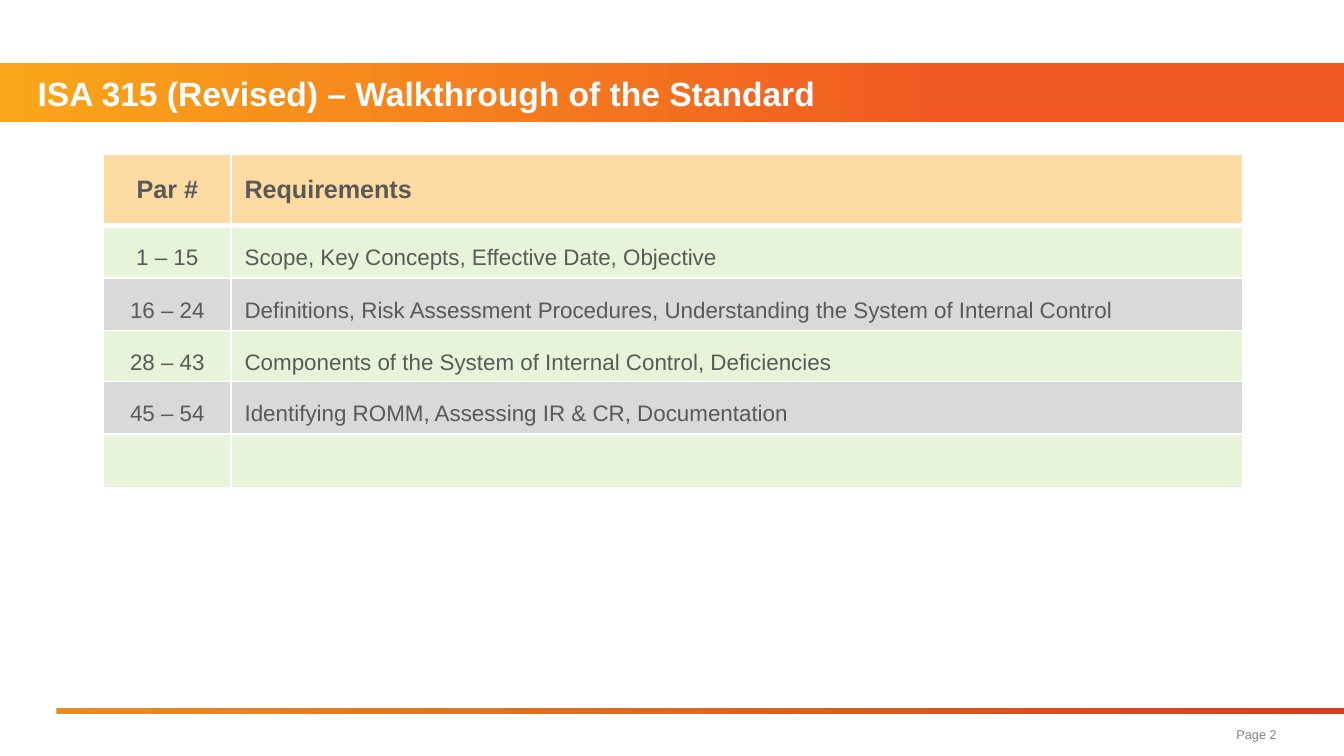
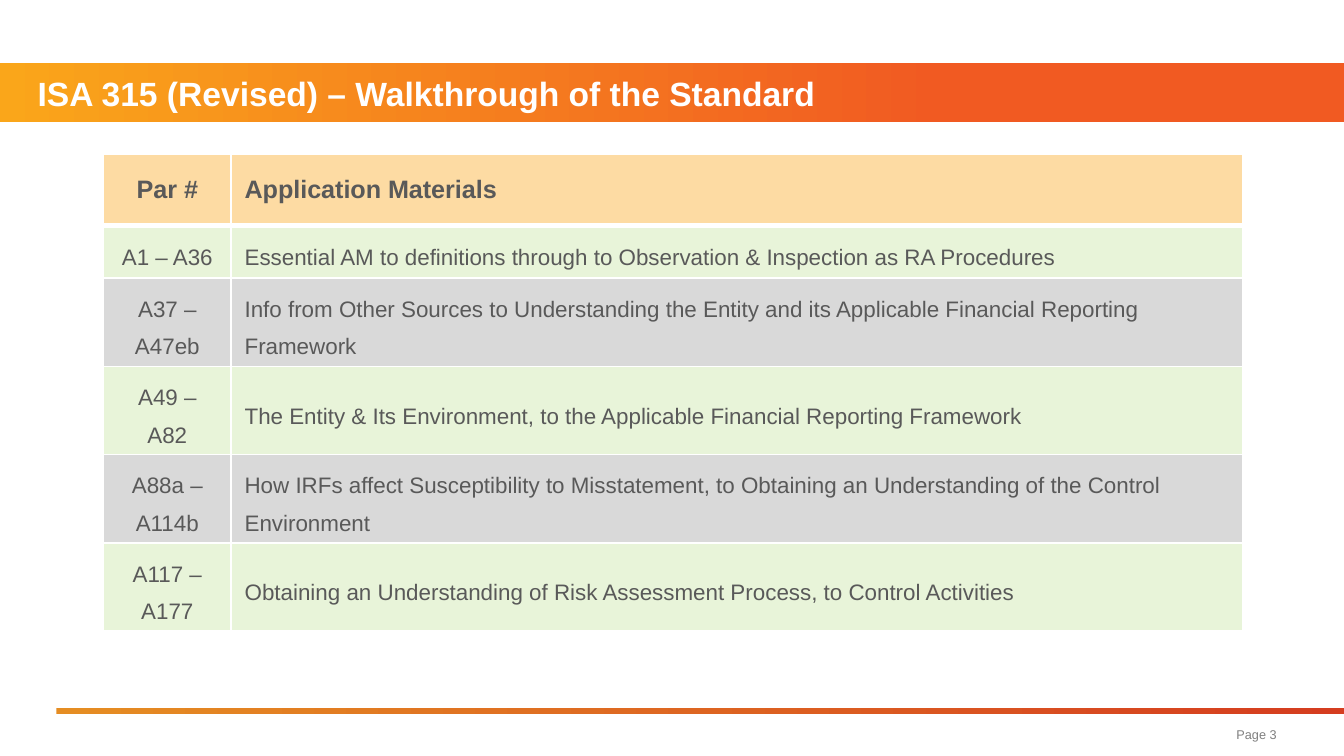
from lxml import etree
from pptx import Presentation
from pptx.dml.color import RGBColor
from pptx.enum.shapes import MSO_SHAPE
from pptx.enum.text import MSO_ANCHOR, PP_ALIGN
from pptx.oxml.ns import qn
from pptx.util import Inches, Pt

RECT = MSO_SHAPE.RECTANGLE
MIDDLE = MSO_ANCHOR.MIDDLE
LEFT, CENTER, RIGHT = PP_ALIGN.LEFT, PP_ALIGN.CENTER, PP_ALIGN.RIGHT

HUES = {
    "white": "FFFFFF", "text": "595959", "page": "808080",
    "gold": "FAA61A", "orange": "F15A22",
    "amber": "E58D23", "red": "D53D20",
    "head": "FDDBA3", "green": "E8F4D9", "gray": "D9D9D9",
}
TITLE = "ISA 315 (Revised) – Walkthrough of the Standard"
BAND = [Inches(n) for n in (0, 0.47, 10, 0.44)]
RULE = [Inches(n) for n in (0.42, 5.27, 9.58, 0.04)]
PAGE = [Inches(n) for n in (7.79, 5.34, 1.71, 0.25)]
BARS = [(BAND, "gold", "orange", 0.7), (RULE, "amber", "red", 1)]
COLS = [0.95, 7.53]
TOP, ONE, TWO = 0.53, 0.39, 0.65

SLIDES = [
    ([TOP, ONE, ONE, 0.38, ONE, ONE], [
        ("Par #", "Requirements"),
        ("1 – 15", "Scope, Key Concepts, Effective Date, Objective"),
        ("16 – 24", "Definitions, Risk Assessment Procedures, Understanding the System of Internal Control"),
        ("28 – 43", "Components of the System of Internal Control, Deficiencies"),
        ("45 – 54", "Identifying ROMM, Assessing IR & CR, Documentation"),
        ("", ""),
    ]),
    ([TOP, ONE, TWO, TWO, TWO, TWO], [
        ("Par #", "Application Materials"),
        ("A1 – A36", "Essential AM to definitions through to Observation & Inspection as RA Procedures"),
        ("A37 – A47eb", "Info from Other Sources to Understanding the Entity and its Applicable Financial Reporting Framework"),
        ("A49 – A82", "The Entity & Its Environment, to the Applicable Financial Reporting Framework"),
        ("A88a – A114b", "How IRFs affect Susceptibility to Misstatement, to Obtaining an Understanding of the Control Environment"),
        ("A117 – A177", "Obtaining an Understanding of Risk Assessment Process, to Control Activities"),
    ]),
]


def write(frame, text, size, hue, bold=False, align=LEFT):
    para = frame.paragraphs[0]
    para.alignment = align
    run = para.add_run()
    run.text = text
    run.font.name = "Arial"
    run.font.size = Pt(size)
    run.font.bold = bold
    run.font.color.rgb = RGBColor.from_string(HUES[hue])
    return para


def edge(cell, side, width):
    props = cell._tc.get_or_add_tcPr()
    line = etree.SubElement(props, qn(f"a:ln{side}"), w=str(Pt(width)))
    fill = etree.SubElement(line, qn("a:solidFill"))
    etree.SubElement(fill, qn("a:srgbClr"), val=HUES["white"])


prs = Presentation()
prs.slide_width = Inches(10)
prs.slide_height = Inches(10 * 9 / 16)

for page, (highs, rows) in enumerate(SLIDES, 2):
    slide = prs.slides.add_slide(prs.slide_layouts[6])

    for box, start, end, stop in BARS:
        bar = slide.shapes.add_shape(RECT, *box)
        bar.shadow.inherit = False
        bar.line.fill.background()
        bar.fill.gradient()
        bar.fill.gradient_angle = 0
        for mark, hue, place in zip(bar.fill.gradient_stops, (start, end), (0, stop)):
            mark.color.rgb = RGBColor.from_string(HUES[hue])
            mark.position = place

    labels = [
        (BAND, 0.28, TITLE, 18, "white", True, LEFT),
        (PAGE, 0, f"Page {page}", 6.8, "page", False, RIGHT),
    ]
    for box, inset, *style in labels:
        frame = slide.shapes.add_textbox(*box).text_frame
        frame.word_wrap = True
        frame.vertical_anchor = MIDDLE
        frame.margin_left = Inches(inset)
        frame.margin_top = frame.margin_right = frame.margin_bottom = 0
        write(frame, *style)

    table = slide.shapes.add_table(
        len(rows), len(COLS), Inches(0.77), Inches(1.15),
        Inches(sum(COLS)), Inches(sum(highs))).table
    for col, wide in zip(table.columns, COLS):
        col.width = Inches(wide)
    for r, (high, row) in enumerate(zip(highs, rows)):
        table.rows[r].height = Inches(high)
        tint = "head" if r == 0 else "green" if r % 2 else "gray"
        for c, text in enumerate(row):
            cell = table.cell(r, c)
            cell.vertical_anchor = MIDDLE
            for side in "LRTB":
                thick = (r, side) in ((0, "B"), (1, "T"))
                edge(cell, side, 3 if thick else 1)
            cell.fill.solid()
            cell.fill.fore_color.rgb = RGBColor.from_string(HUES[tint])
            if text:
                para = write(cell.text_frame, text, 12 if r else 13.5, "text",
                             r == 0, LEFT if c else CENTER)
                if r:
                    para.line_spacing = Pt(20)

prs.save("out.pptx")
